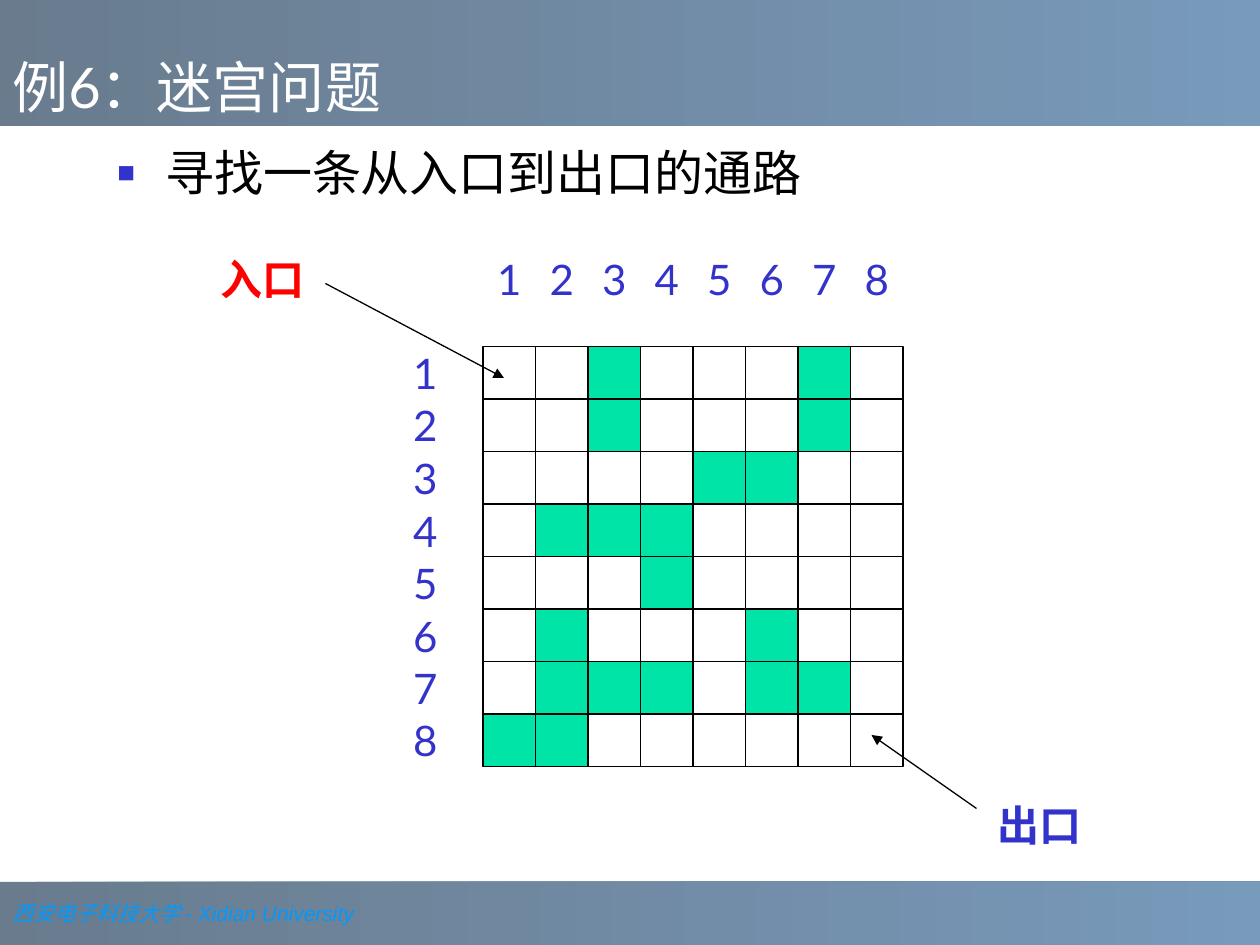
from pptx import Presentation
from pptx.dml.color import RGBColor
from pptx.enum.shapes import MSO_CONNECTOR, MSO_SHAPE
from pptx.enum.text import MSO_ANCHOR, PP_ALIGN
from pptx.oxml.ns import qn
from pptx.util import Inches, Pt
from lxml.etree import SubElement

# The slide is a grid of 120 columns by 90 rows
UNIT = Inches(10) // 120
CELL = 5
BLUE, GREEN, RED, BLACK, WHITE = "3333CC", "00E4A8", "FF0000", "000000", "FFFFFF"

# One row of the maze per line, # is a wall
MAZE = """
..#...#.
..#...#.
....##..
.###....
...#....
.#...#..
.###.##.
##......
""".split()


def color(value):
    return RGBColor.from_string(value)


def grid(*lengths):
    return [round(n * UNIT) for n in lengths]


def add_text(shapes, box, runs, anchor=MSO_ANCHOR.MIDDLE, align=PP_ALIGN.LEFT,
             wrap=True, bullet=None, **common):
    tf = shapes.add_textbox(*grid(*box)).text_frame
    tf.word_wrap = wrap
    tf.vertical_anchor = anchor
    p = tf.paragraphs[0]
    p.alignment = align
    if bullet:
        add_bullet(p, bullet)
    for text, extra in runs:
        r = p.add_run()
        r.text = text
        formats = {"name": "Lato", **common, **extra}
        r.font.color.rgb = color(formats.pop("color"))
        for key, value in formats.items():
            setattr(r.font, key, value)


def add_bullet(p, bullet_color):
    pPr = p._p.get_or_add_pPr()
    pPr.set("marL", str(Inches(0.38)))
    pPr.set("indent", str(-Inches(0.38)))
    SubElement(SubElement(pPr, qn("a:buClr")), qn("a:srgbClr"), val=bullet_color)
    SubElement(pPr, qn("a:buSzPct"), val="60000")
    SubElement(pPr, qn("a:buFont"), typeface="Arial")
    SubElement(pPr, qn("a:buChar"), char="■")


def add_band(shapes, box):
    s = shapes.add_shape(MSO_SHAPE.RECTANGLE, *grid(*box))
    s.shadow.inherit = False
    s.line.fill.background()
    s.fill.gradient()
    s.fill.gradient_angle = 0
    for stop, value in zip(s.fill.gradient_stops, ("1C3853", "336699")):
        stop.color.rgb = color(value)
    for clr in s._element.spPr.iter(qn("a:srgbClr")):
        SubElement(clr, qn("a:alpha"), val="66000")


def add_header(shapes, box):
    add_band(shapes, box)
    add_text(shapes, box, [("例6：迷宫问题", {})], anchor=MSO_ANCHOR.BOTTOM,
             size=Pt(32), color=WHITE)


def add_footer(shapes, box):
    add_band(shapes, box)
    runs = [("西安电子科技大学 ", {"name": "Times New Roman"}),
            ("- Xidian University", {"name": "Arial"})]
    add_text(shapes, box, runs, size=Pt(12), color="0099FF", italic=True)


def add_label(shapes, box, text, value, bold=False):
    add_text(shapes, box, [(text, {})], align=PP_ALIGN.CENTER, wrap=False,
             size=Pt(24), color=value, bold=bold)


def add_maze(shapes, left, top):
    group = shapes.add_group_shape().shapes
    # Cells
    for row, line in enumerate(MAZE):
        for col, mark in enumerate(line):
            box = (left + col * CELL, top + row * CELL, CELL, CELL)
            s = group.add_shape(MSO_SHAPE.RECTANGLE, *grid(*box))
            s.shadow.inherit = False
            s.line.color.rgb = color(BLACK)
            s.line.width = Pt(0.75)
            if mark == "#":
                s.fill.solid()
                s.fill.fore_color.rgb = color(GREEN)
            else:
                s.fill.background()
    # Column and row numbers
    for i in range(len(MAZE)):
        add_label(group, (left + i * CELL, top - 9, CELL, CELL), str(i + 1), BLUE)
        add_label(group, (left - 8, top + i * CELL, CELL, CELL), str(i + 1), BLUE)


def add_pointer(shapes, box, text, value, start, end):
    group = shapes.add_group_shape().shapes
    add_label(group, box, text, value, bold=True)
    line = group.add_connector(MSO_CONNECTOR.STRAIGHT, *grid(*start, *end))
    line.line.color.rgb = color(BLACK)
    line.line.width = Pt(0.75)
    SubElement(line.line._get_or_add_ln(), qn("a:tailEnd"), type="triangle")
    SubElement(line._element.spPr, qn("a:effectLst"))


def main():
    prs = Presentation()
    prs.slide_width, prs.slide_height = grid(120, 90)
    shapes = prs.slides.add_slide(prs.slide_layouts[6]).shapes

    add_footer(shapes, (0, 84, 120, 6))
    add_header(shapes, (0, 0, 120, 12))
    add_maze(shapes, 46, 33)
    add_pointer(shapes, (18, 24, 14, CELL), "入口", RED, (31, 27), (48, 36))
    add_pointer(shapes, (92, 76, 14, CELL), "出口", BLUE, (93, 77), (83, 70))
    # Task statement
    add_text(shapes, (10, 13, 102, 9.5), [("寻找一条从入口到出口的通路", {})],
             anchor=MSO_ANCHOR.TOP, bullet=BLUE, size=Pt(28), color=BLACK)
    prs.save("out.pptx")


if __name__ == "__main__":
    main()
